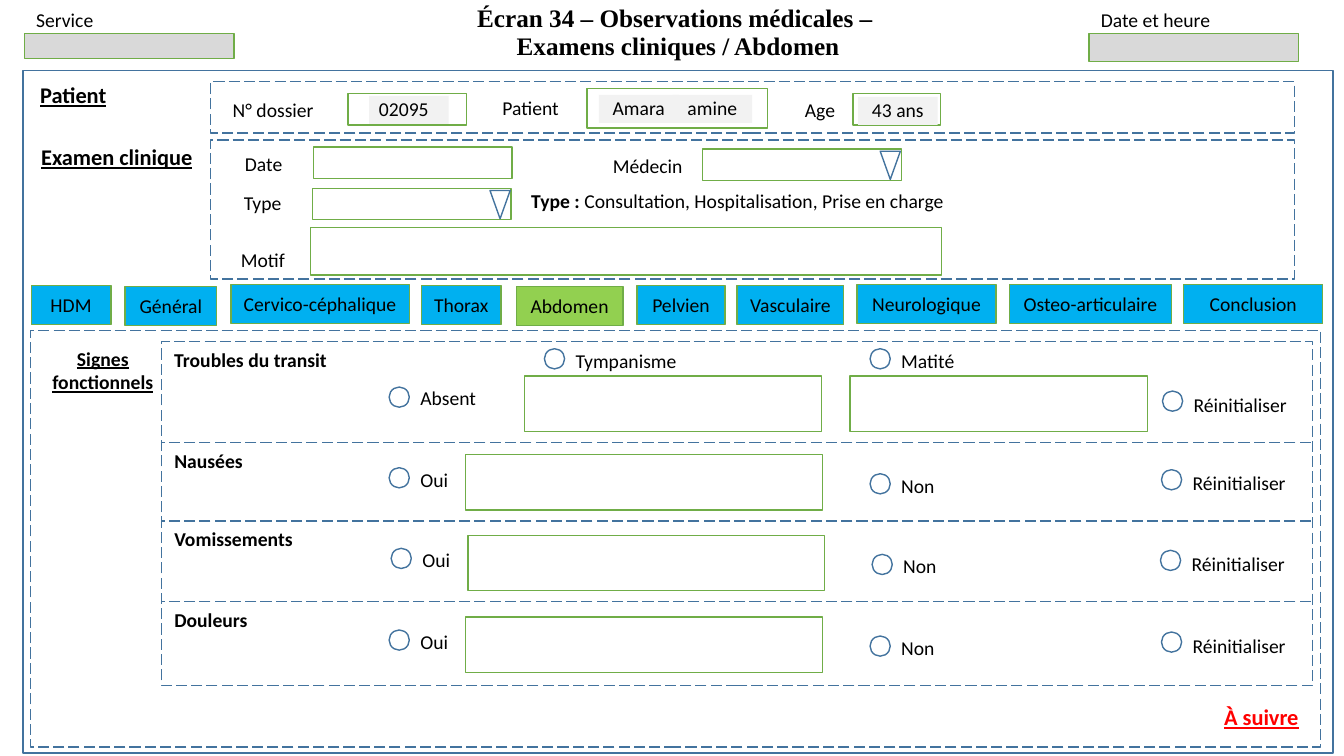
from dataclasses import dataclass
from lxml import etree
from pptx import Presentation
from pptx.dml.color import RGBColor
from pptx.enum.dml import MSO_LINE
from pptx.enum.shapes import MSO_CONNECTOR, MSO_SHAPE
from pptx.enum.text import MSO_ANCHOR, PP_ALIGN
from pptx.oxml.ns import qn
from pptx.util import Inches, Pt

RECT, OVAL, WEDGE = MSO_SHAPE.RECTANGLE, MSO_SHAPE.OVAL, MSO_SHAPE.ISOSCELES_TRIANGLE
LINE, DASH = MSO_CONNECTOR.STRAIGHT, MSO_LINE.LONG_DASH
LEFT, MID = PP_ALIGN.LEFT, PP_ALIGN.CENTER
TOP, CORE, LOW = MSO_ANCHOR.TOP, MSO_ANCHOR.MIDDLE, MSO_ANCHOR.BOTTOM


@dataclass(frozen=True)
class Theme:
    """Colours, fonts and type sizes of the screen."""
    ink: str = "000000"
    alert: str = "FF0000"
    blue: str = "43739E"
    green: str = "70AD47"
    grey: str = "D9D9D9"
    pale: str = "F2F2F2"
    tab: str = "00B0F0"
    active: str = "92D050"
    sans: str = "Calibri"
    serif: str = "Times New Roman"
    body: int = 14
    head: int = 16
    title: int = 18
    stroke: int = 1


T = Theme()


def write(shape, paras, align=LEFT, anchor=CORE, space=0.95, size=T.body,
          color=T.ink, font=T.sans, under=False):
    """Write paragraphs, each a list of (text, bold) runs."""
    frame = shape.text_frame
    frame.word_wrap = True
    frame.vertical_anchor = anchor
    for i, runs in enumerate(paras):
        para = frame.paragraphs[0] if i == 0 else frame.add_paragraph()
        para.alignment, para.line_spacing = align, space
        for text, bold in runs:
            run = para.add_run()
            run.text = text
            face = run.font
            face.name, face.size, face.bold = font, Pt(size), bold
            face.underline = under
            face.color.rgb = RGBColor.from_string(color)


def label(slide, text, x, y, w, h, bold=False, **style):
    """Add a one-paragraph text box."""
    box = slide.shapes.add_textbox(Inches(x), Inches(y), Inches(w), Inches(h))
    write(box, [[(text, bold)]], **style)
    return box


def shape(slide, x, y, w, h, kind=RECT, fill=None, line=T.green, dash=False):
    """Add a preset shape with a plain fill and outline."""
    item = slide.shapes.add_shape(kind, Inches(x), Inches(y), Inches(w), Inches(h))
    item.shadow.inherit = False
    if fill:
        item.fill.solid()
        item.fill.fore_color.rgb = RGBColor.from_string(fill)
    else:
        item.fill.background()
    if line:
        item.line.color.rgb = RGBColor.from_string(line)
        item.line.width = Pt(T.stroke)
        if dash:
            item.line.dash_style = DASH
    else:
        item.line.fill.background()
    return item


def rule(slide, x, y, w):
    """Draw a dashed row divider."""
    item = slide.shapes.add_connector(LINE, Inches(x + w), Inches(y), Inches(x), Inches(y))
    item.line.color.rgb = RGBColor.from_string(T.blue)
    item.line.width = Pt(T.stroke)
    item.line.dash_style = DASH
    etree.SubElement(item._element.spPr, qn("a:effectLst"))


def chip(slide, text, x, y, align=MID):
    """Add a pale value chip."""
    write(shape(slide, x, y, 0.79, 0.28, fill=T.pale, line=None), [[(text, False)]], align)


def radio(slide, text, x, y, w, rise=0.05, space=1):
    """Add a radio button and its label."""
    shape(slide, x, y, 0.2, 0.2, OVAL, line=T.blue)
    label(slide, text, x + 0.21, y - rise, w, 0.34, anchor=TOP, space=space)


def reset(slide, x, y):
    """Add the reset choice of a row."""
    radio(slide, "Réinitialiser", x, y, 1.18, space=1.07)


def combo(slide, x, y):
    """Add a drop-down field."""
    shape(slide, x, y, 1.97, 0.31)
    shape(slide, x + 1.76, y + 0.02, 0.2, 0.28, WEDGE, line=T.blue).rotation = 180


def header(slide, x, y, w):
    """Place the title between the service and date fields."""
    title = slide.shapes.add_textbox(Inches(x + 3.21), Inches(y + 0.07), Inches(6.55), Inches(0.59))
    write(title, [[("Écran 34 – Observations médicales – ", True)],
                  [("Examens cliniques / Abdomen", True)]],
          MID, LOW, size=T.title, font=T.serif)
    for text, left, h in (("Service", x, 0.25), ("Date et heure", x + w - 2.08, 0.28)):
        shape(slide, left, y + 0.33, 2.08, h, fill=T.grey)
        label(slide, text, left + 0.02, y + 0.03, 1.4, 0.34, anchor=TOP, space=1)


def patient(slide, x, y, w, h):
    """Place the patient strip."""
    label(slide, "Patient", x - 1.79, y - 0.1, 1.18, 0.48, True, size=T.head, under=True)
    shape(slide, x, y, w, h, line=T.blue, dash=True)
    for text, left, top, span in (("N° dossier", 0.06, 0.07, 1.12), ("Patient ", 2.67, 0.05, 1.05),
                                  ("Age ", 5.76, 0.07, 0.61)):
        label(slide, text, x + left, y + top, span, 0.43, align=MID)
    for left, top, span, tall in ((1.36, 0.12, 1.18, 0.31), (3.73, 0.07, 1.79, 0.39),
                                  (6.37, 0.12, 0.87, 0.31)):
        shape(slide, x + left, y + top, span, tall)
    chip(slide, "02095", x + 1.57, y + 0.14, LEFT)
    for text, left, top in (("Amara", 3.85, 0.13), ("amine", 4.58, 0.13), ("43 ans", 6.42, 0.15)):
        chip(slide, text, x + left, y + top)


def exam(slide, x, y, w, h):
    """Place the clinical examination form."""
    head = label(slide, "Examen clinique", x - 1.78, y - 0.02, 1.72, 0.37, True,
                 anchor=TOP, space=1, size=T.head, under=True)
    head.text_frame.word_wrap = False
    shape(slide, x, y, w, h, line=T.blue, dash=True)
    label(slide, "Date", x + 0.24, y + 0.03, 0.79, 0.42)
    shape(slide, x + 1.02, y + 0.07, 1.97, 0.31)
    label(slide, "Médecin", x + 3.77, y + 0.06, 1.13, 0.4, align=MID)
    combo(slide, x + 4.88, y + 0.09)
    label(slide, "Type", x + 0.23, y + 0.44, 0.79, 0.39)
    combo(slide, x + 1.01, y + 0.48)
    note = slide.shapes.add_textbox(Inches(x + 3.08), Inches(y + 0.39), Inches(4.4), Inches(0.45))
    write(note, [[("Type : ", True), ("Consultation, Hospitalisation, Prise en charge", False)]])
    label(slide, "Motif", x + 0.2, y + 1, 0.79, 0.35, anchor=TOP, space=1.07)
    shape(slide, x + 0.99, y + 0.87, 6.26, 0.47)


def tabs(slide, x, y):
    """Place the row of tabs with the current one lit."""
    for text, left, top, w in (
            ("HDM", 0, 0.01, 0.79), ("Général", 0.93, 0.02, 0.91),
            ("Cervico-céphalique", 1.98, 0, 1.77), ("Thorax", 3.87, 0.01, 0.79),
            ("Abdomen", 4.81, 0.02, 1.06), ("Pelvien", 6.01, 0.01, 0.87),
            ("Vasculaire", 7, 0.01, 1.06), ("Neurologique", 8.19, 0, 1.38),
            ("Osteo-articulaire", 9.7, 0, 1.61), ("Conclusion", 11.43, 0, 1.38)):
        fill = T.active if text == "Abdomen" else T.tab
        write(shape(slide, x + left, y + top, w, 0.39, fill=fill), [[(text, False)]], MID, space=1)


def transit(slide, x, y):
    """Place the first row, with two detail fields."""
    label(slide, "Troubles du transit", x + 0.03, y + 0.01, 2.17, 0.34, True, anchor=TOP, space=1)
    radio(slide, "Absent", x + 2.26, y + 0.45, 0.85, 0.06)
    for text, left in (("Tympanisme", 3.6), ("Matité", 6.83)):
        radio(slide, text, x + left + 0.2, y + 0.07, 1.33)
        shape(slide, x + left, y + 0.34, 2.95, 0.55)
    reset(slide, x + 9.93, y + 0.49)


def symptom(slide, text, x, y, w, dx, dy):
    """Place a yes or no row under its divider."""
    rule(slide, x, y, w)
    label(slide, text, x + 0.03, y + 0.01, 1.45, 0.34, True, anchor=TOP, space=1)
    radio(slide, "Oui", x + 2.26 + dx, y + dy + 0.25, 0.55)
    shape(slide, x + 3.02 + dx, y + dy + 0.12, 3.54, 0.55)
    radio(slide, "Non", x + 7.03 + dx, y + dy + 0.31, 0.91)
    reset(slide, x + 9.92 - dx / 2, y + dy + 0.27)


def signs(slide, x, y, w, h):
    """Place the panel of functional signs."""
    shape(slide, x, y, w, h, line=T.blue, dash=True)
    label(slide, "Signes fonctionnels", x + 0.09, y + 0.11, 1.26, 0.57, True,
          align=MID, anchor=TOP, space=1, under=True)
    left, top = x + 1.3, y + 0.11
    shape(slide, left, top, 11.42, 3.41, line=T.blue, dash=True)
    transit(slide, left, top)
    for text, drop, dx, dy in (("Nausées", 1, 0, 0), ("Vomissements", 1.78, 0.02, 0.02),
                               ("Douleurs", 2.58, 0, 0.03)):
        symptom(slide, text, left, top + drop, 11.4, dx, dy)
    label(slide, "À suivre", x + w - 1.18, y + 3.66, 1.18, 0.36, True,
          align=MID, size=T.head, color=T.alert, under=True)


def main():
    """Build and save the screen."""
    deck = Presentation()
    deck.slide_width, deck.slide_height = Inches(13.33), Inches(7.5)
    slide = deck.slides.add_slide(deck.slide_layouts[6])
    header(slide, 0.24, 0, 12.64)
    shape(slide, 0.23, 0.7, 12.99, 6.77, line=T.blue)
    patient(slide, 2.09, 0.81, 10.75, 0.51)
    exam(slide, 2.09, 1.39, 10.75, 1.38)
    tabs(slide, 0.31, 2.82)
    signs(slide, 0.3, 3.28, 12.8, 4.13)
    deck.save("out.pptx")


if __name__ == "__main__":
    main()
